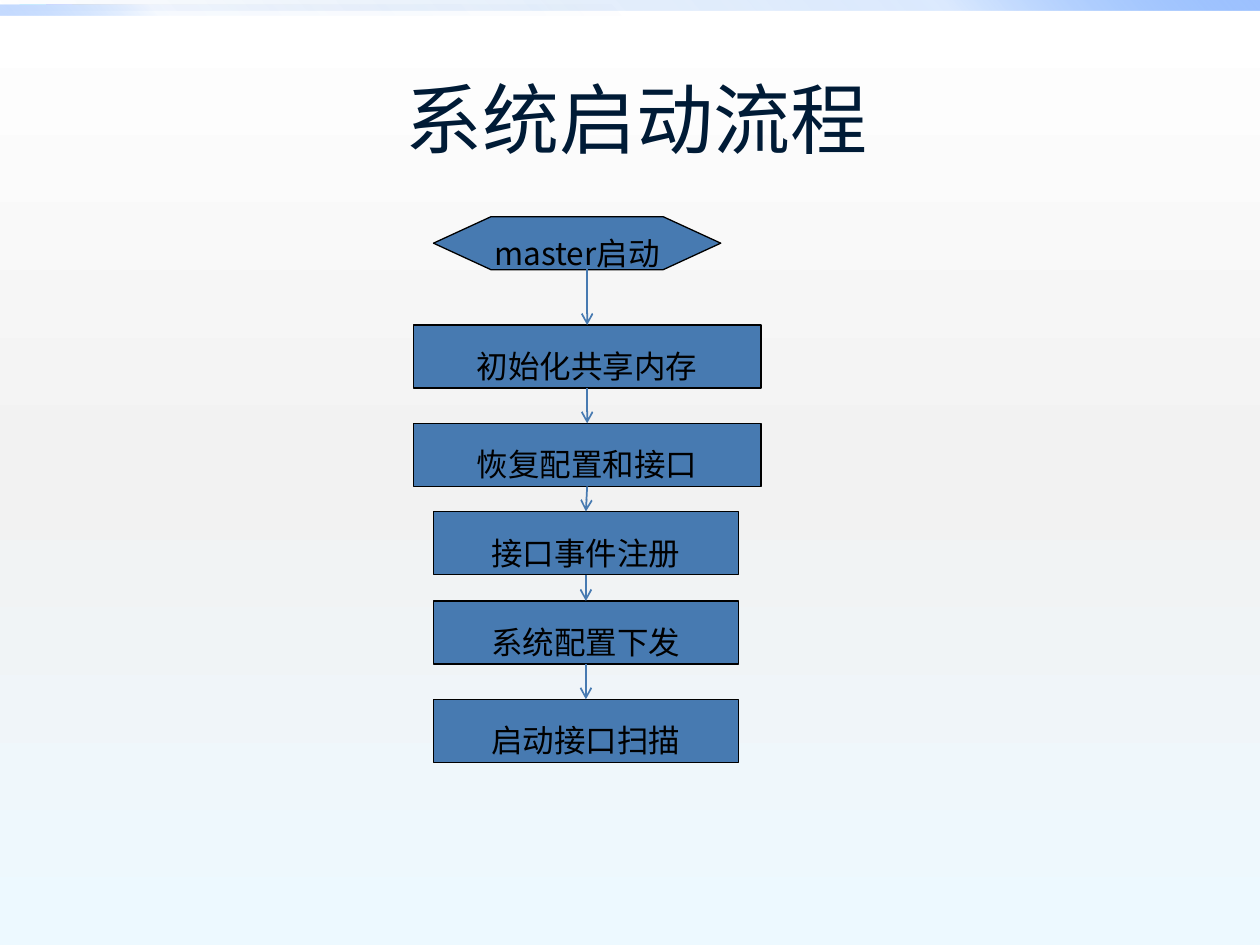
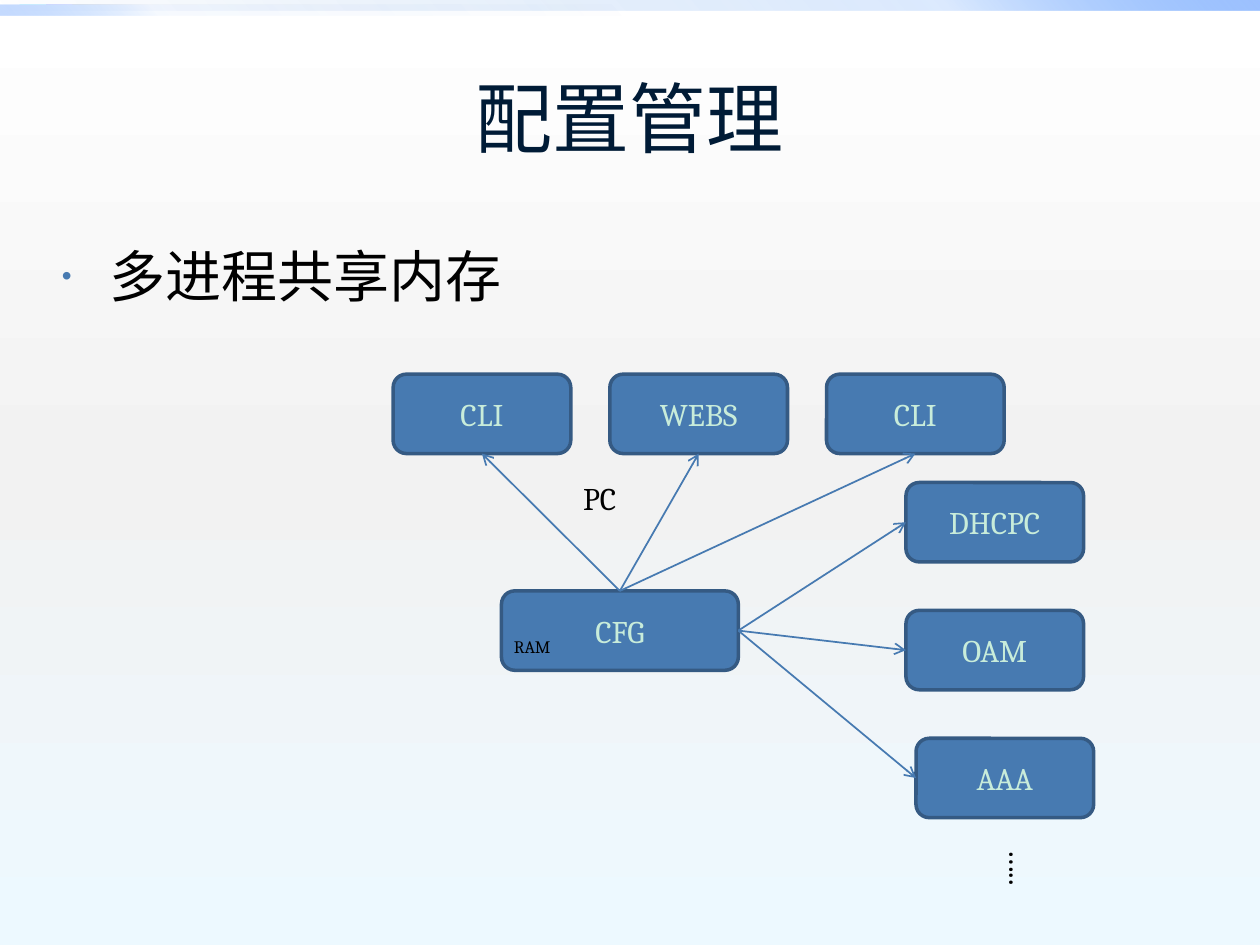
from dataclasses import dataclass
from lxml.etree import SubElement as Sub
from pptx import Presentation
from pptx.dml.color import RGBColor as RGB
from pptx.enum.shapes import MSO_CONNECTOR as LINK, MSO_SHAPE as GEO
from pptx.enum.text import MSO_ANCHOR as ANCHOR, PP_ALIGN as ALIGN
from pptx.oxml.ns import qn
from pptx.util import Inches, Pt


@dataclass(frozen=True)
class Theme:
    blue: str = "477AB1"
    edge: str = "355A83"
    navy: str = "001B36"
    mint: str = "C8ECDA"
    black: str = "000000"
    head: str = "Calibri"
    serif: str = "Cambria"
    han: str = "Noto Sans CJK SC"
    big: int = 44
    lead: int = 32
    text: int = 18
    small: int = 10
    back: tuple = ((0, "FFFFFF", 100), (50, "F2F2F2", 100), (100, "EDF9FF", 100))
    top: tuple = ((0, "0058B7", 0), (75, "4F95FF", 20), (100, "9EC2FF", 100))
    low: tuple = ((0, "0058B7", 0), (75, "4F95FF", 5), (100, "9EC2FF", 60))


T = Theme()


def spot(*nums):
    return [Inches(n) for n in nums]


def place(item, at):
    item.left, item.top, item.width, item.height = spot(*at)


def paint(fill, host, stops, angle):
    fill.gradient()
    fill.gradient_angle = angle
    items = host.find(".//" + qn("a:gsLst"))
    items.clear()
    for pos, color, alpha in stops:
        stop = Sub(items, qn("a:gs"), pos=str(pos * 1000))
        tint = Sub(stop, qn("a:srgbClr"), val=color)
        Sub(tint, qn("a:alpha"), val=str(alpha * 1000))


def write(par, text, size, font, color):
    run = par.add_run()
    run.text = text
    run.font.size = Pt(size)
    run.font.name = font
    run.font.color.rgb = RGB.from_string(color)
    Sub(run.font._element, qn("a:ea"), typeface=T.han)


def title(slide, text, at):
    head = slide.shapes.title
    place(head, at)
    par = head.text_frame.paragraphs[0]
    par.alignment = ALIGN.CENTER
    write(par, text, T.big, T.head, T.navy)


def bullet(slide, text, at):
    body = slide.placeholders[1]
    place(body, at)
    par = body.text_frame.paragraphs[0]
    props = par._p.get_or_add_pPr()
    tint = Sub(props, qn("a:buClr"))
    Sub(tint, qn("a:srgbClr"), val=T.blue)
    Sub(props, qn("a:buSzPct"), val="50000")
    Sub(props, qn("a:buChar"), char="•")
    write(par, text, T.lead, T.serif, T.black)


def shape(slide, kind, at, edge, width):
    item = slide.shapes.add_shape(kind, *spot(*at))
    item.shadow.inherit = False
    item.fill.solid()
    item.fill.fore_color.rgb = RGB.from_string(T.blue)
    item.line.color.rgb = RGB.from_string(edge)
    item.line.width = Pt(width)
    frame = item.text_frame
    frame.vertical_anchor = ANCHOR.MIDDLE
    par = frame.paragraphs[0]
    par.alignment = ALIGN.CENTER
    return item, par


def step(slide, text, at, kind=GEO.FLOWCHART_PROCESS):
    item, par = shape(slide, kind, at, T.black, 0.75)
    item.text_frame.word_wrap = False
    par.line_spacing = 1.5
    props = par._p.get_or_add_pPr()
    props.set("marL", str(Inches(0.38)))
    props.set("indent", str(Inches(-0.38)))
    write(par, text, T.text, T.han, T.black)
    return item


def node(slide, text, x, y, wide=1.41):
    item, par = shape(slide, GEO.ROUNDED_RECTANGLE, (x, y, wide, 0.63), T.edge, 2)
    write(par, text, T.text, T.serif, T.mint)
    return item


def label(slide, text, at, size=T.text, wrap=False, turn=None):
    box = slide.shapes.add_textbox(*spot(*at))
    box.text_frame.word_wrap = wrap
    if turn:
        box.text_frame._txBody.bodyPr.set("vert", turn)
    write(box.text_frame.paragraphs[0], text, size, T.serif, T.black)


def arrow(slide, start=(0, 0), end=(0, 0)):
    line = slide.shapes.add_connector(LINK.STRAIGHT, *spot(*start, *end))
    line.line.color.rgb = RGB.from_string(T.blue)
    line.line.width = Pt(1)
    Sub(line.line._get_or_add_ln(), qn("a:tailEnd"), type="arrow")
    Sub(line._element.spPr, qn("a:effectLst"))
    return line


def join(slide, start, out, end, into):
    line = arrow(slide)
    line.begin_connect(start, out)
    line.end_connect(end, into)


def dress(master, slide):
    paint(master.background.fill, master.element, T.back, 270)
    tree = master.shapes.element
    bands = ((0, 0, 10, 0.08), T.top, 45), ((0, 0.04, 5, 0.08), T.low, 225)
    for rank, (at, stops, angle) in enumerate(bands):
        band = slide.shapes.add_shape(GEO.RECTANGLE, *spot(*at))
        band.shadow.inherit = False
        band.line.fill.background()
        paint(band.fill, band._element, stops, angle)
        band._element.nvSpPr.cNvPr.set("id", str(100 + rank))
        tree.insert(2 + rank, band._element)


def startup(slide):
    title(slide, "系统启动流程", (0.55, 0.31, 9, 1.25))
    step(slide, "master启动", (3.44, 1.72, 2.28, 0.42), GEO.FLOWCHART_PREPARATION)
    wide, slim = (3.28, 2.76), (3.44, 2.42)
    rows = (
        ("初始化共享内存", 2.58, wide),
        ("恢复配置和接口", 3.36, wide),
        ("接口事件注册", 4.06, slim),
        ("系统配置下发", 4.77, slim),
        ("启动接口扫描", 5.55, slim),
    )
    steps = [step(slide, text, (x, y, w, 0.5)) for text, y, (x, w) in rows]
    arrow(slide, (4.66, 2.11), (4.66, 2.58))
    for prev, item in zip(steps, steps[1:]):
        join(slide, prev, 2, item, 0)


def config(slide):
    title(slide, "配置管理", (0.5, 0.3, 9, 1.25))
    bullet(slide, "多进程共享内存", (0.39, 1.87, 9, 5.31))
    tops = [node(slide, text, 3.12 + 1.72 * col, 2.97)
            for col, text in enumerate(("CLI", "WEBS", "CLI"))]
    sides = [node(slide, text, x, 3.83 + 1.015 * row)
             for row, (text, x) in enumerate((("DHCPC", 7.19), ("OAM", 7.19), ("AAA", 7.27)))]
    core = node(slide, "CFG", 3.98, 4.69, 1.88)
    label(slide, "PC", (4.53, 3.75, 1.17, 0.4), wrap=True)
    label(slide, "…..", (7.81, 6.64, 0.5, 0.4), turn="eaVert")
    label(slide, "RAM", (3.98, 5, 0.49, 0.27), T.small)
    for item in tops:
        join(slide, core, 0, item, 2)
    for item in sides:
        join(slide, core, 3, item, 1)


def main():
    deck = Presentation()
    deck.slide_width, deck.slide_height = spot(10, 7.5)
    first = deck.slides.add_slide(deck.slide_layouts[5])
    dress(deck.slide_master, first)
    startup(first)
    config(deck.slides.add_slide(deck.slide_layouts[1]))
    deck.save("out.pptx")


if __name__ == "__main__":
    main()
